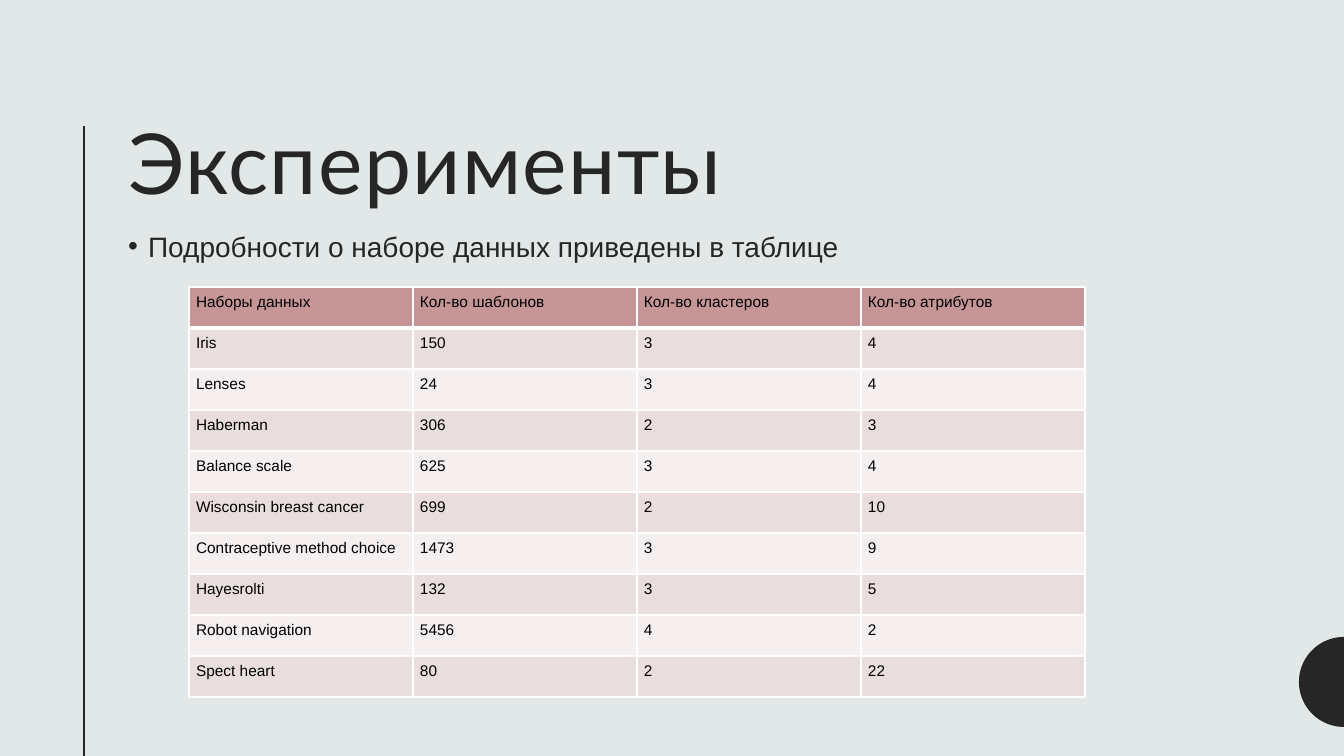
import math

from lxml import etree
from pptx import Presentation
from pptx.dml.color import RGBColor
from pptx.enum.shapes import MSO_CONNECTOR
from pptx.enum.text import MSO_ANCHOR, MSO_AUTO_SIZE, PP_ALIGN
from pptx.oxml.ns import qn
from pptx.util import Pt

PX = 914400 / 100.8
LEFT, TOP, FIT_NONE = PP_ALIGN.LEFT, MSO_ANCHOR.TOP, MSO_AUTO_SIZE.NONE
STRAIGHT = MSO_CONNECTOR.STRAIGHT
BACKGROUND = RGBColor(0xE2, 0xE8, 0xE8)
DARK = RGBColor(0x26, 0x26, 0x26)
BLACK = RGBColor(0x00, 0x00, 0x00)
HEADER = RGBColor(0xC6, 0x96, 0x96)
ODD_ROW = RGBColor(0xEA, 0xDD, 0xDD)
EVEN_ROW = RGBColor(0xF5, 0xEF, 0xEF)
BORDER = "FFFFFF"


def px(*lengths):
    return [round(length * PX) for length in lengths]


def write(frame, text, size, color, font="Arial", line_spacing=1, before=0, after=0):
    para = frame.paragraphs[0]
    para.alignment = LEFT
    para.line_spacing = line_spacing
    para.space_before, para.space_after = Pt(before), Pt(after)
    span = para.add_run()
    span.text = text
    span.font.name, span.font.size = font, Pt(size)
    span.font.color.rgb = color
    return para


deck = Presentation()
deck.slide_width, deck.slide_height = px(1344, 756)
page = deck.slides.add_slide(deck.slide_layouts[1])
page.background.fill.solid()
page.background.fill.fore_color.rgb = BACKGROUND

# Title and list
title, body = page.shapes.title, page.placeholders[1]
for box, place in ((title, (118, 117, 1141, 169)), (body, (118, 221, 968, 316))):
    box.left, box.top, box.width, box.height = px(*place)
    box.text_frame.auto_size = FIT_NONE
    box.text_frame.vertical_anchor = TOP
    box.text_frame.word_wrap = True
heading = write(title.text_frame, "Эксперименты", 60, DARK, font="Lato", line_spacing=0.9)
heading.runs[0].font._element.set("spc", "100")
item = write(body.text_frame, "Подробности о наборе данных приведены в таблице", 20, DARK,
             line_spacing=1.1, before=4, after=4)
indent = px(20)[0]
item_format = item._p.get_or_add_pPr()
item_format.set("marL", str(indent))
item_format.set("indent", str(-indent))
etree.SubElement(item_format, qn("a:buChar")).set("char", "•")

# Vertical rule
rule = page.shapes.add_connector(STRAIGHT, *px(84, 126, 84, 756))
rule.line.color.rgb = DARK
rule.line.width = Pt(1.5)
etree.SubElement(rule._element.spPr, qn("a:effectLst"))

# Half disc at the right edge
RADIUS, CENTER_X, CENTER_Y, STEPS = 45, 1344, 682, 48
arc = []
for step in range(STEPS + 1):
    angle = math.pi * step / STEPS
    arc.append(px(CENTER_X - RADIUS * math.sin(angle), CENTER_Y - RADIUS * math.cos(angle)))
builder = page.shapes.build_freeform(*arc[0])
builder.add_line_segments(arc[1:], close=True)
half_disc = builder.convert_to_shape()
half_disc.shadow.inherit = False
half_disc.fill.solid()
half_disc.fill.fore_color.rgb = DARK
half_disc.line.fill.background()

# Table of data sets
rows = [
    ("Наборы данных", "Кол-во шаблонов", "Кол-во кластеров", "Кол-во атрибутов"),
    ("Iris", "150", "3", "4"),
    ("Lenses", "24", "3", "4"),
    ("Haberman", "306", "2", "3"),
    ("Balance scale", "625", "3", "4"),
    ("Wisconsin breast cancer", "699", "2", "10"),
    ("Contraceptive method choice", "1473", "3", "9"),
    ("Hayesrolti", "132", "3", "5"),
    ("Robot navigation", "5456", "4", "2"),
    ("Spect heart", "80", "2", "22"),
]
table = page.shapes.add_table(len(rows), len(rows[0]), *px(189, 287, 896, 410)).table
for column in table.columns:
    column.width = px(224)[0]
for row in table.rows:
    row.height = px(41)[0]
for row_index, texts in enumerate(rows):
    row_fill = HEADER if row_index == 0 else ODD_ROW if row_index % 2 else EVEN_ROW
    for column_index, text in enumerate(texts):
        cell = table.cell(row_index, column_index)
        cell.margin_left = cell.margin_right = cell.margin_top = cell.margin_bottom = px(7)[0]
        cell.vertical_anchor = TOP
        write(cell.text_frame, text, 11, BLACK)
        cell_format = cell._tc.get_or_add_tcPr()
        for side in ("lnL", "lnR", "lnT", "lnB"):
            # The line under the header is thicker
            thick = (row_index, side) in ((0, "lnB"), (1, "lnT"))
            edge = etree.SubElement(cell_format, qn("a:" + side))
            edge.set("w", str(Pt(3 if thick else 1)))
            paint = etree.SubElement(edge, qn("a:solidFill"))
            etree.SubElement(paint, qn("a:srgbClr")).set("val", BORDER)
        cell.fill.solid()
        cell.fill.fore_color.rgb = row_fill

deck.save("out.pptx")
